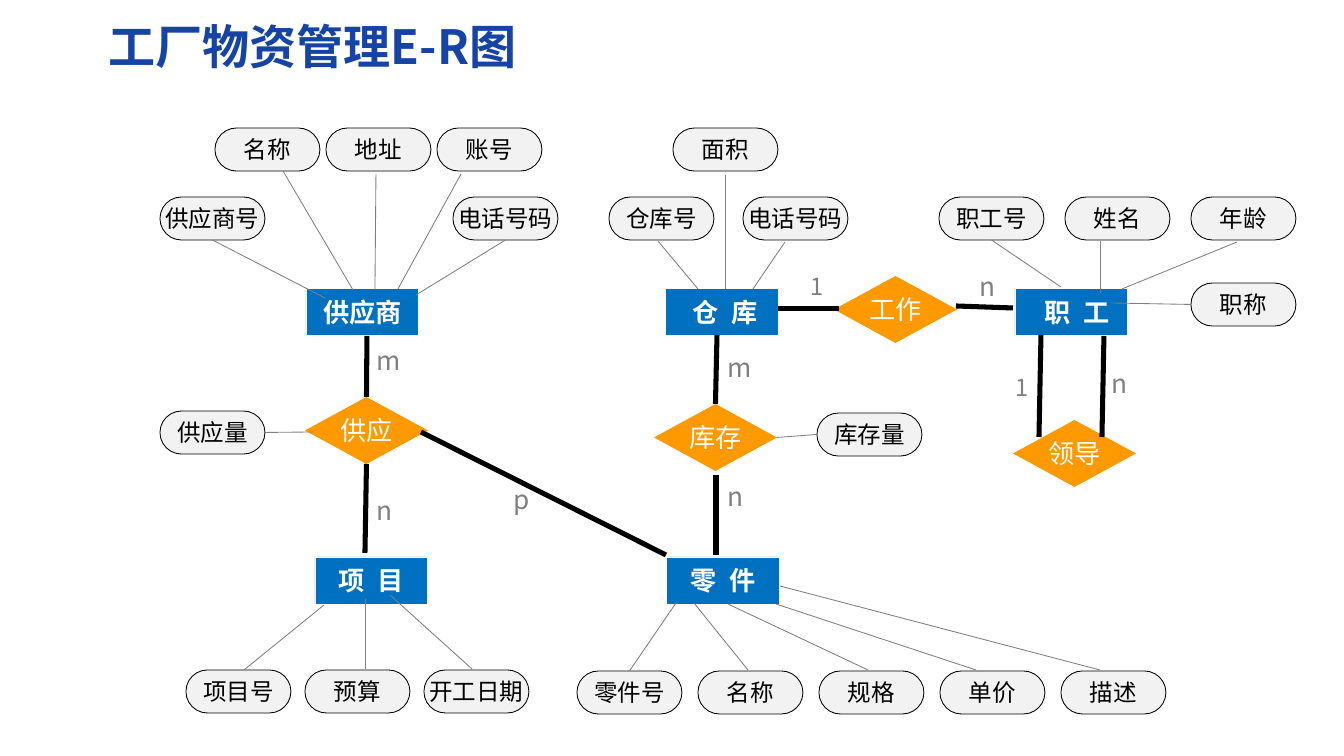
from itertools import product

from lxml import etree
from pptx import Presentation
from pptx import util as u
from pptx.dml.color import RGBColor
from pptx.enum import shapes, text
from pptx.oxml.ns import qn

FONT = "Noto Sans CJK SC"
TITLE = "工厂物资管理E-R图"
ENTITIES = [
    ("供应商", 306, 288, 0),
    ("仓 库", 666, 288, 6),
    ("职 工", 1015, 288, 12),
    ("项 目", 315, 557, 0),
    ("零 件", 667, 557, 0),
]
RELATIONS = [("供应", 305, 397), ("库存", 654, 404), ("工作", 834, 276), ("领导", 1013, 420)]
ATTRIBUTE_ROWS = [
    (215, 128, 111, ["名称", "地址", "账号"]),
    (160, 197, 293, ["供应商号", "电话号码"]),
    (673, 128, 0, ["面积"]),
    (609, 197, 134, ["仓库号", "电话号码"]),
    (939, 197, 126, ["职工号", "姓名", "年龄"]),
    (1191, 283, 0, ["职称"]),
    (160, 411, 0, ["供应量"]),
    (817, 413, 0, ["库存量"]),
    (186, 670, 119, ["项目号", "预算", "开工日期"]),
    (577, 671, 121, ["零件号", "名称", "规格", "单价", "描述"]),
]
ATTRIBUTE_LINES = [
    (212, 241, 325, 298), (283, 171, 353, 290), (376, 174, 375, 290),
    (461, 174, 398, 289), (505, 241, 416, 295), (324, 605, 244, 670),
    (365, 599, 365, 669), (390, 595, 472, 669), (658, 241, 698, 289),
    (725, 175, 725, 289), (785, 242, 753, 289), (993, 242, 1061, 287),
    (1100, 241, 1100, 293), (1237, 242, 1122, 289), (1191, 303, 1111, 303),
    (676, 603, 630, 670), (694, 603, 748, 670), (728, 604, 868, 670),
    (776, 604, 976, 670), (780, 586, 1100, 670), (777, 436, 817, 436),
    (313, 432, 267, 432),
]
RELATION_LINES = [
    (716, 404, 717, 335), (716, 475, 716, 555), (839, 309, 778, 309),
    (956, 306, 1013, 308), (1039, 437, 1041, 335), (1102, 437, 1104, 336),
    (367, 397, 367, 336), (365, 466, 365, 553), (421, 432, 666, 555),
]
CARDINALITIES = [
    ("m", 365, 338, 15.6), ("n", 365, 488, 15.6), ("p", 502, 477, 15.6),
    ("m", 716, 345, 15.6), ("n", 716, 474, 15.6), ("1", 799, 266, 14),
    ("n", 968, 264, 15.6), ("1", 1004, 367, 14), ("n", 1100, 361, 15.6),
]
JOIN_WITHIN = 2


def px(length):
    return round(length * 914400 / 121)


def rgb(code):
    return RGBColor.from_string(code)


def write(part, words, size, color, bold=False, align=text.PP_ALIGN.CENTER, spacing=None):
    paragraph = part.text_frame.paragraphs[0]
    paragraph.text = words
    paragraph.alignment = align
    font = paragraph.font
    font.name, font.size, font.bold = FONT, u.Pt(size), bold
    font.color.rgb = rgb(color)
    defaults = paragraph._p.pPr.find(qn("a:defRPr"))
    etree.SubElement(defaults, qn("a:ea")).set("typeface", FONT)
    if spacing:
        defaults.set("spc", str(spacing))
    return paragraph


def add_node(kind, box, fill, outline=None, shift=0):
    node = slide.shapes.add_shape(kind, *map(px, box))
    node.shadow.inherit = False
    node.fill.solid()
    node.fill.fore_color.rgb = rgb(fill)
    if outline:
        node.line.color.rgb = rgb(outline)
        node.line.width = u.Pt(0.5)
    else:
        node.line.fill.background()
    frame = node.text_frame
    frame.word_wrap = False
    frame.vertical_anchor = text.MSO_ANCHOR.MIDDLE
    frame.margin_left, frame.margin_right = px(shift), 0
    frame.margin_top = frame.margin_bottom = 0
    left, top, width, height = box
    middle, center = left + width / 2, top + height / 2
    sites = [(middle, top), (left, center), (middle, top + height), (left + width, center)]
    joints.extend((node, site, x, y) for site, (x, y) in enumerate(sites))
    return node


def add_line(ends, color, width):
    line = slide.shapes.add_connector(shapes.MSO_CONNECTOR.STRAIGHT, *map(px, ends))
    line.line.color.rgb = rgb(color)
    line.line.width = u.Pt(width)
    etree.SubElement(line._element.spPr, qn("a:effectLst"))
    joins = [(line.begin_connect, *ends[:2]), (line.end_connect, *ends[2:])]
    for (join, x, y), (node, site, site_x, site_y) in product(joins, joints):
        if max(abs(x - site_x), abs(y - site_y)) <= JOIN_WITHIN:
            join(node, site)


def add_label(words, box, size, color, bold=False):
    label = slide.shapes.add_textbox(*map(px, box))
    label.text_frame.word_wrap = True
    return label, write(label, words, size, color, bold, text.PP_ALIGN.LEFT)


deck = Presentation()
deck.slide_width, deck.slide_height = px(1344), px(756)
slide = deck.slides.add_slide(deck.slide_layouts[6])
joints = []

title, heading = add_label(TITLE, (96, 15, 1209, 69), 28, "1543A6", True)
heading.line_spacing = 0.9
title.text_frame.vertical_anchor = text.MSO_ANCHOR.MIDDLE
title.text_frame.margin_left = title.text_frame.margin_right = px(13)

for name, left, top, shift in ENTITIES:
    entity = add_node(shapes.MSO_SHAPE.RECTANGLE, (left, top, 113, 47), "0070C0", "FFFFFF", shift)
    write(entity, name, 15.6, "FFFFFF", True, spacing=200 if " " in name else None)

for name, left, top in RELATIONS:
    relation = add_node(shapes.MSO_SHAPE.FLOWCHART_DECISION, (left, top, 123, 67), "FF9900")
    write(relation, name, 15.6, "FFFFFF")

for left, top, step, names in ATTRIBUTE_ROWS:
    for column, name in enumerate(names):
        box = (left + column * step, top, 105, 43)
        attribute = add_node(shapes.MSO_SHAPE.ROUNDED_RECTANGLE, box, "F2F2F2", "000000")
        attribute.adjustments[0] = 0.5
        write(attribute, name, 14, "000000")

for ends in ATTRIBUTE_LINES:
    add_line(ends, "808080", 0.5)
for ends in RELATION_LINES:
    add_line(ends, "000000", 3)
for mark, left, top, size in CARDINALITIES:
    add_label(mark, (left, top, 50, 44), size, "808080")

deck.save("out.pptx")
